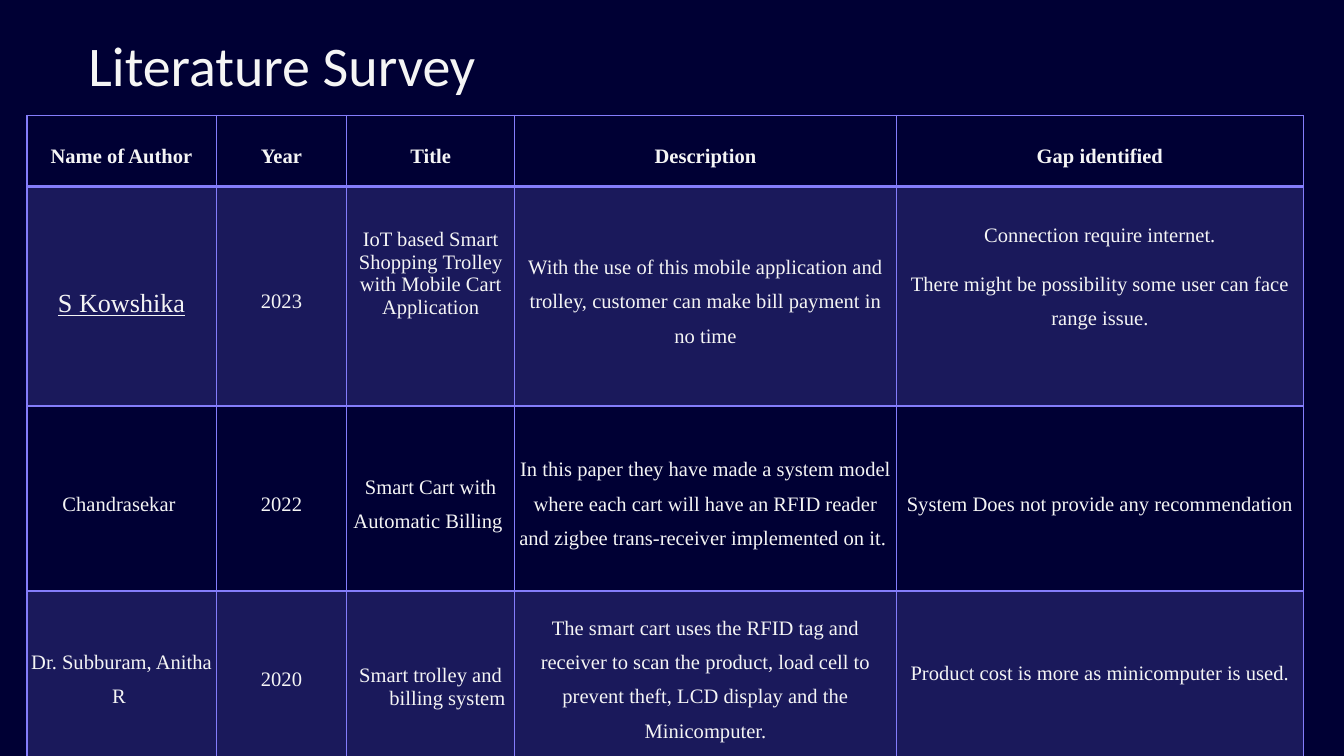
from lxml import etree
from pptx import Presentation
from pptx.dml.color import RGBColor
from pptx.enum.text import MSO_ANCHOR, PP_ALIGN
from pptx.oxml.ns import qn
from pptx.util import Inches, Pt

CENTER = PP_ALIGN.CENTER
MIDDLE = MSO_ANCHOR.MIDDLE

COLORS = {"background": "000034", "accent": "847DFB", "text": "F5F5F5"}
TITLE_FONT = "Calibri"
TABLE_FONT = "Times New Roman"
BAND_OPACITY = 20

SLIDE_WIDTH = Inches(10)
SLIDE_HEIGHT = SLIDE_WIDTH * 9 // 16
COLUMN_WIDTHS = [1.41, 0.97, 1.25, 2.84, 3.03]
ROW_HEIGHTS = [0.53, 1.63, 1.38, 1.23]
SURVEY = [
    ["Name of Author", "Year", "Title", "Description", "Gap identified"],
    ["S Kowshika", "2023",
     "IoT based Smart Shopping Trolley with Mobile Cart Application",
     "With the use of this mobile application and trolley, customer can make "
     "bill payment in no time",
     "Connection require internet.\n"
     "There might be possibility some user can face range issue."],
    ["Chandrasekar ", "2022", "Smart Cart with Automatic Billing ",
     "In this paper they have made a system model where each cart will have an "
     "RFID reader and zigbee trans-receiver implemented on it. ",
     "System Does not provide any recommendation"],
    ["Dr. Subburam, Anitha R ", "2020", "Smart trolley and billing system",
     "The smart cart uses the RFID tag and receiver to scan the product, load "
     "cell to prevent theft, LCD display and the Minicomputer.",
     "Product cost is more as minicomputer is used."],
]
SINGLE_SPACED = {(1, 2), (3, 2), (3, 4)}


def rgb(name):
    return RGBColor.from_string(COLORS[name])


def style_font(font, name, size):
    font.name = name
    font.size = Pt(size)
    font.color.rgb = rgb("text")


def add_title(slide, left, top, width, height):
    box = slide.shapes.add_textbox(
        Inches(left), Inches(top), Inches(width), Inches(height))
    frame = box.text_frame
    frame.word_wrap = True
    frame.margin_left = frame.margin_right = Inches(0.1)
    frame.margin_top = frame.margin_bottom = Inches(0.1)
    frame.text = "Literature Survey"
    style_font(frame.paragraphs[0].runs[0].font, TITLE_FONT, 30)


def set_borders(cell, row):
    """Draw all four sides, with a heavier rule between header and body."""
    widths = {"L": 1, "R": 1, "T": 2 if row == 1 else 1, "B": 2 if row == 0 else 1}
    properties = cell._tc.get_or_add_tcPr()
    for side, width in widths.items():
        line = etree.SubElement(properties, qn(f"a:ln{side}"), w=str(Pt(width)))
        fill = etree.SubElement(line, qn("a:solidFill"))
        etree.SubElement(fill, qn("a:srgbClr"), val=COLORS["accent"])


def set_fill(cell, banded):
    if not banded:
        cell.fill.background()
        return
    cell.fill.solid()
    cell.fill.fore_color.rgb = rgb("accent")
    color = cell._tc.tcPr.find(f"{qn('a:solidFill')}/{qn('a:srgbClr')}")
    etree.SubElement(color, qn("a:alpha"), val=str(BAND_OPACITY * 1000))


def fill_cell(cell, text, row, column):
    cell.vertical_anchor = MIDDLE
    cell.margin_left = cell.margin_right = Inches(0.03)
    cell.margin_top = cell.margin_bottom = 0
    set_borders(cell, row)
    set_fill(cell, row % 2 == 1)
    cell.text_frame.text = text
    for paragraph in cell.text_frame.paragraphs:
        paragraph.alignment = CENTER
        if (row, column) not in SINGLE_SPACED:
            paragraph.line_spacing = 1.5
            paragraph.space_after = Pt(8)
        for run in paragraph.runs:
            style_font(run.font, TABLE_FONT, 11)
            run.font.bold = row == 0


def add_survey_table(slide, left, top):
    table = slide.shapes.add_table(
        len(ROW_HEIGHTS), len(COLUMN_WIDTHS), Inches(left), Inches(top),
        Inches(sum(COLUMN_WIDTHS)), Inches(sum(ROW_HEIGHTS))).table
    for column, width in zip(table.columns, COLUMN_WIDTHS):
        column.width = Inches(width)
    for row, height in zip(table.rows, ROW_HEIGHTS):
        row.height = Inches(height)
    for row, texts in enumerate(SURVEY):
        for column, text in enumerate(texts):
            fill_cell(table.cell(row, column), text, row, column)

    first_author = table.cell(1, 0).text_frame.paragraphs[0].runs[0].font
    first_author.size = Pt(14)
    first_author.underline = True

    # Uneven margins move these entries off the middle of their rows.
    table.cell(1, 2).margin_bottom = Inches(0.34)
    table.cell(1, 4).margin_bottom = Inches(0.37)
    trolley_title = table.cell(3, 2)
    trolley_title.margin_top = Inches(0.19)
    indent = trolley_title.text_frame.paragraphs[0]._p.get_or_add_pPr()
    indent.set("marL", str(Inches(0.25)))
    indent.set("indent", str(Inches(-0.25)))


def main():
    presentation = Presentation()
    presentation.slide_width = SLIDE_WIDTH
    presentation.slide_height = SLIDE_HEIGHT
    slide = presentation.slides.add_slide(presentation.slide_layouts[6])
    slide.background.fill.solid()
    slide.background.fill.fore_color.rgb = rgb("background")
    add_survey_table(slide, 0.2, 0.86)
    add_title(slide, 0.56, 0.13, 8.44, 0.63)
    presentation.save("out.pptx")


if __name__ == "__main__":
    main()
